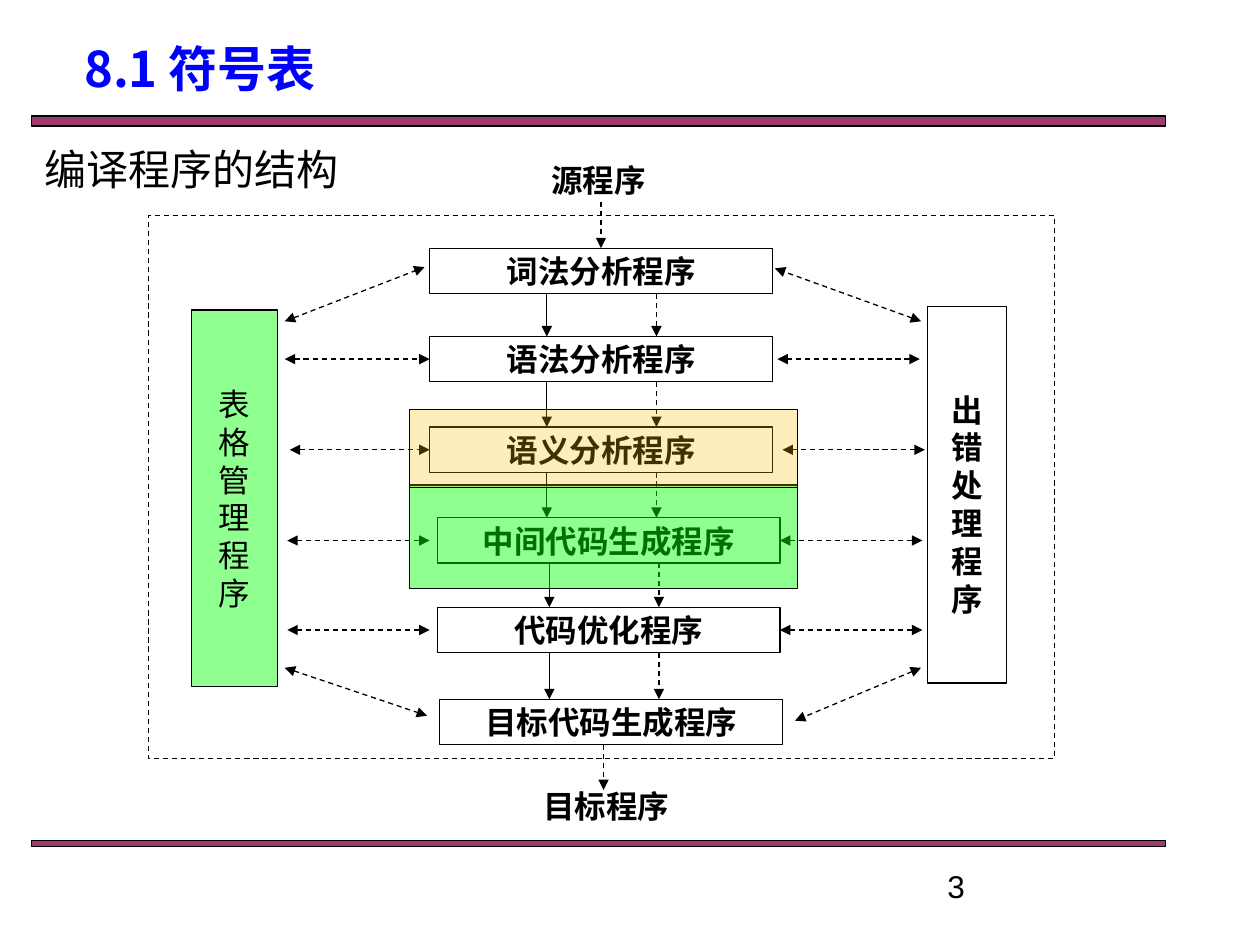
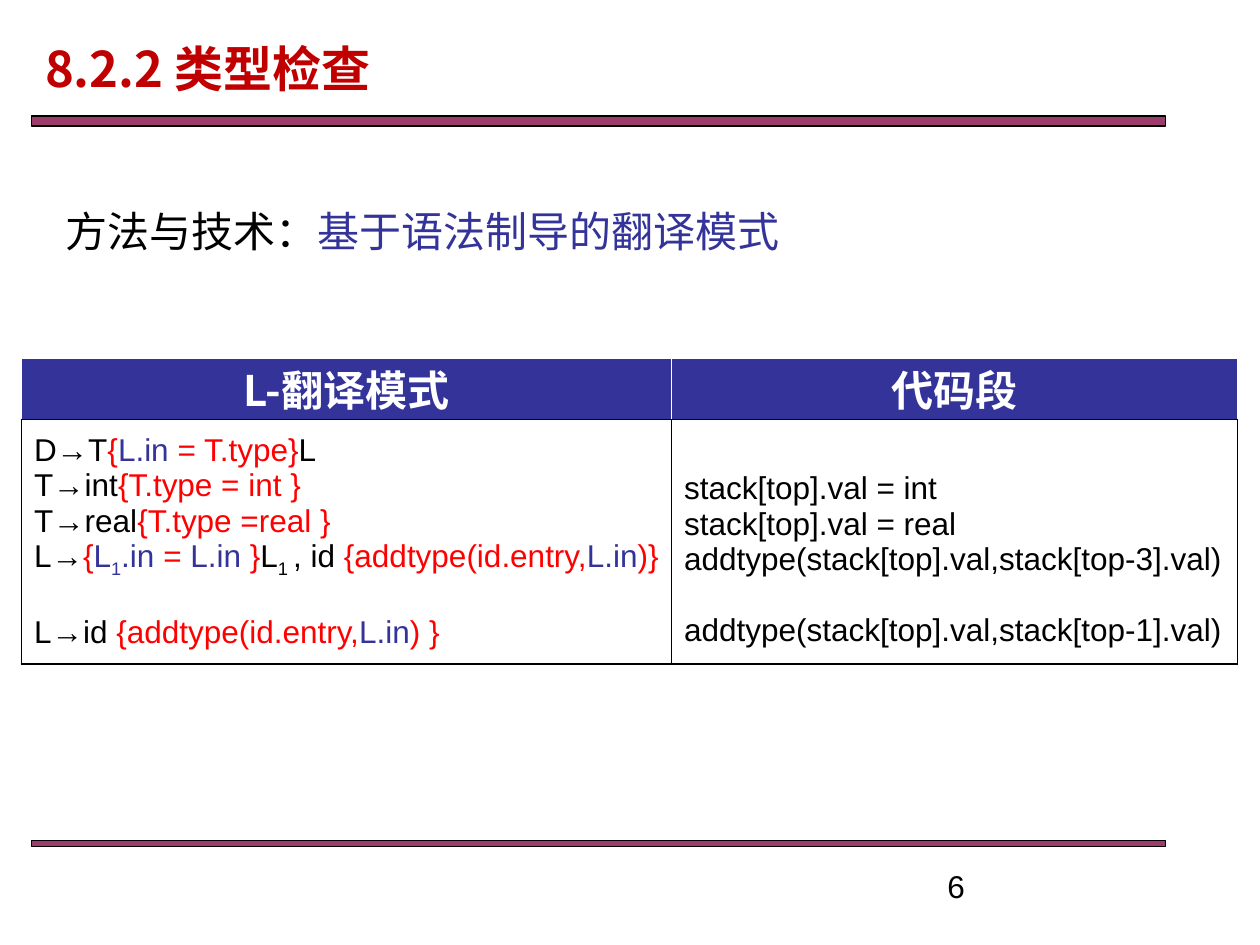
from lxml.etree import SubElement
from pptx import Presentation
from pptx.dml.color import RGBColor
from pptx.enum.dml import MSO_LINE
from pptx.enum.shapes import MSO_CONNECTOR, MSO_SHAPE
from pptx.enum.text import MSO_ANCHOR, PP_ALIGN
from pptx.oxml.ns import qn
from pptx.util import Inches, Pt

BLACK, WHITE, RED = "000000", "FFFFFF", "FF0000"
INDIGO, PLUM, GREEN, AMBER = "333399", "993366", "00FF00", "FFC000"
CJK, SANS, SERIF = "Noto Sans CJK SC", "Arial", "Times New Roman"
TOP, LEFT, BOTTOM, RIGHT = range(4)


def rgb(color):
    return RGBColor.from_string(color)


def inches(*values):
    return [Inches(v) for v in values]


def write(tf, paragraphs, size=18, font=SANS, color=BLACK, bold=False, align=PP_ALIGN.LEFT,
          anchor=MSO_ANCHOR.MIDDLE, wrap=True, leading=None, before=None):
    """Fill a frame: each paragraph is a string or a list of (text, color, baseline) runs.

    before maps a paragraph's index to its space before, in points.
    """
    tf.word_wrap = wrap
    tf.vertical_anchor = anchor
    for i, runs in enumerate(paragraphs):
        p = tf.paragraphs[0] if i == 0 else tf.add_paragraph()
        p.alignment = align
        if leading:
            p.line_spacing = Pt(leading)
        if before and i in before:
            p.space_before = Pt(before[i])
        for text, run_color, baseline in [(runs, color, 0)] if isinstance(runs, str) else runs:
            r = p.add_run()
            r.text = text
            r.font.size, r.font.name, r.font.bold = Pt(size), font, bold
            r.font.color.rgb = rgb(run_color)
            if baseline:
                r.font._element.set("baseline", str(baseline * 1000))
            if any("一" <= ch <= "龥" for ch in text):
                r.font._element.find(qn("a:latin")).addnext(
                    r.font._element.makeelement(qn("a:ea"), {"typeface": CJK}))


def add_text(s, box, paragraphs, **fmt):
    sp = s.shapes.add_textbox(*inches(*box))
    write(sp.text_frame, paragraphs, **fmt)
    return sp


def add_rect(s, box, fill=None, alpha=100, dashed=False):
    sp = s.shapes.add_shape(MSO_SHAPE.RECTANGLE, *inches(*box))
    sp.shadow.inherit = False
    sp.line.color.rgb = rgb(BLACK)
    sp.line.width = Pt(0.75)
    if dashed:
        sp.line.dash_style = MSO_LINE.DASH
    if fill is None:
        sp.fill.background()
        return sp
    sp.fill.solid()
    sp.fill.fore_color.rgb = rgb(fill)
    if alpha < 100:
        clr = sp._element.spPr.find(qn("a:solidFill"))[0]
        SubElement(clr, qn("a:alpha"), val=str(alpha * 1000))
    return sp


def add_arrow(s, start, end, dashed=True, both=False):
    c = s.shapes.add_connector(MSO_CONNECTOR.STRAIGHT, *inches(*start, *end))
    c.line.color.rgb = rgb(BLACK)
    c.line.width = Pt(0.75)
    if dashed:
        c.line.dash_style = MSO_LINE.DASH
    ln = c.line._get_or_add_ln()
    if both:
        SubElement(ln, qn("a:headEnd"), type="triangle")
    SubElement(ln, qn("a:tailEnd"), type="triangle")
    SubElement(c._element.spPr, qn("a:effectLst"))
    return c


def add_frame(prs, title, color, title_left, number):
    """Add a slide with its title, bands and page number."""
    s = prs.slides.add_slide(prs.slide_layouts[6])
    for top, height in ((0.92, 0.08), (6.67, 0.05)):
        add_rect(s, (0.25, top, 9, height), PLUM, alpha=96)
    add_text(s, (title_left, 0.25, 8, 0.58), [title], size=28, font=CJK, color=color, bold=True)
    add_text(s, (7.42, 6.83, 2.33, 0.27), [number], anchor=MSO_ANCHOR.TOP)
    return s


STAGE_W, STAGE_H = 2.72, 0.36
STAGES = [("词法分析程序", 2.23, 0.26), ("语法分析程序", 2.23, 0.96),
          ("语义分析程序", 2.23, 1.68), ("中间代码生成程序", 2.29, 2.4),
          ("代码优化程序", 2.29, 3.11), ("目标代码生成程序", 2.31, 3.84)]


def add_managers(s, x, y):
    """Add the table manager and the error handler beside the stages."""
    fmt = dict(align=PP_ALIGN.CENTER, leading=21.6)
    tables = add_rect(s, (x + 0.34, y + 0.75, 0.68, 2.99), GREEN, alpha=44)
    write(tables.text_frame, list("表格管理程序"), wrap=False, **fmt)
    errors = add_rect(s, (x + 6.18, y + 0.72, 0.63, 2.99), WHITE)
    write(errors.text_frame, ["出错处理程序"], font=SERIF, bold=True, **fmt)
    errors.text_frame.margin_top = Inches(0.2)


def add_side_arrows(s, x, y, stages):
    """Link each stage with both managers, joining the arrows that touch a stage."""
    for start, end in (((1.08, 0.84), (2.19, 0.41)), ((1.08, 3.59), (2.21, 3.97)),
                       ((6.13, 0.84), (4.97, 0.42)), ((6.13, 3.59), (5.13, 4.01))):
        add_arrow(s, (x + start[0], y + start[1]), (x + end[0], y + end[1]), both=True)
    length = 1.13
    for i, left, right in ((1, 1.08, 4.99), (2, 1.12, 5.03), (3, 1.1, 5.01), (4, 1.1, 5.01)):
        edge = STAGES[i][1]
        mid = y + STAGES[i][2] + STAGE_H / 2
        c = add_arrow(s, (x + left, mid), (x + left + length, mid), both=True)
        if abs(left + length - edge) < 0.03:
            c.end_connect(stages[i], LEFT)
        c = add_arrow(s, (x + right, mid), (x + right + length, mid), both=True)
        if abs(right - edge - STAGE_W) < 0.03:
            c.begin_connect(stages[i], RIGHT)


def add_compiler(s, x, y, w, h):
    """Draw the compiler's structure inside a dashed box."""
    label = dict(font=SERIF, bold=True, align=PP_ALIGN.CENTER)
    add_text(s, (x + 2.21, y - 0.46, STAGE_W, STAGE_H), ["源程序"], **label)
    add_text(s, (x + 2.27, y + 4.51, STAGE_W, STAGE_H), ["目标程序"], **label)
    stages = []
    for name, left, top in STAGES:
        sp = add_rect(s, (x + left, y + top, STAGE_W, STAGE_H), WHITE)
        write(sp.text_frame, [name], **label)
        stages.append(sp)
    add_managers(s, x, y)

    entry_x = x + STAGES[0][1] + STAGE_W / 2
    entry = add_arrow(s, (entry_x, y - 0.11), (entry_x, y + 0.26))
    entry.end_connect(stages[0], TOP)
    add_arrow(s, (x + 3.61, y + 4.2), (x + 3.61, y + 4.56))
    for i, (upper, lower) in enumerate(zip(STAGES, STAGES[1:])):
        flow_x = x + (3.16 if i < 3 else 3.18)
        for dx, dashed in ((0, False), (0.87, True)):
            add_arrow(s, (flow_x + dx, y + upper[2] + STAGE_H),
                      (flow_x + dx, y + lower[2]), dashed=dashed)
    add_side_arrows(s, x, y, stages)
    add_rect(s, (x, y, w, h), dashed=True)
    add_rect(s, (x + 2.07, y + 2.14, 3.08, 0.82), GREEN, alpha=44)
    add_rect(s, (x + 2.07, y + 1.54, 3.08, 0.62), AMBER, alpha=26)


def symbol_table_slide(prs):
    s = add_frame(prs, "8.1 符号表", "0000FF", 0.57, "3")
    add_compiler(s, 1.18, 1.71, 7.19, 4.31)
    add_text(s, (0.24, 1.09, 2.56, 0.5), ["编译程序的结构"], size=24,
             align=PP_ALIGN.CENTER, wrap=False)


def set_borders(cell, left, right, top, bottom):
    tcPr = cell._tc.get_or_add_tcPr()
    for side, color in zip("LRTB", (left, right, top, bottom)):
        ln = SubElement(tcPr, qn(f"a:ln{side}"), w=str(Pt(1)))
        SubElement(SubElement(ln, qn("a:solidFill")), qn("a:srgbClr"), val=color)


def runs(*parts):
    """Make runs from text marked k (black), r (red) or b (indigo), with _ for a subscript."""
    colors = {"k": BLACK, "r": RED, "b": INDIGO}
    return [(text, colors[mark[0]], -25 if mark.endswith("_") else 0) for mark, text in parts]


RULES = [
    runs(("k", "D→T"), ("r", "{"), ("b", "L.in "), ("r", "= T.type}"), ("k", "L")),
    runs(("k", "T→int"), ("r", "{T.type = int }")),
    runs(("k", "T→real"), ("r", "{T.type =real }")),
    runs(("k", "L→"), ("r", "{"), ("b", "L"), ("b_", "1"), ("b", ".in "), ("r", "= "),
         ("b", "L.in "), ("r", "}"), ("k", "L"), ("k_", "1 "), ("k", ", id "),
         ("r", "{addtype(id.entry,"), ("b", "L.in"), ("r", ")}")),
    runs(("k", "L→id "), ("r", "{addtype(id.entry,"), ("b", "L.in"), ("r", ") }")),
]
CODE = ["stack[top].val = int", "stack[top].val = real",
        "addtype(stack[top].val,stack[top-3].val)",
        "addtype(stack[top].val,stack[top-1].val)"]


def add_translation_table(s, x, y, widths, heights):
    frame = s.shapes.add_table(2, 2, *inches(x, y, sum(widths), sum(heights)))
    table = frame.table
    for i in range(2):
        table.columns[i].width = Inches(widths[i])
        table.rows[i].height = Inches(heights[i])
    for i, name in enumerate(("L-翻译模式", "代码段")):
        cell = table.cell(0, i)
        set_borders(cell, WHITE, WHITE, WHITE, BLACK)
        cell.fill.solid()
        cell.fill.fore_color.rgb = rgb(INDIGO)
        cell.margin_top = cell.margin_bottom = 0
        cell.vertical_anchor = MSO_ANCHOR.MIDDLE
        write(cell.text_frame, [name], size=24, font=CJK, color=WHITE, bold=True,
              align=PP_ALIGN.CENTER)
    line = 20.7
    for i, (lines, gap_at) in enumerate(((RULES, 4), (CODE, 3))):
        cell = table.cell(1, i)
        set_borders(cell, BLACK, BLACK, BLACK, BLACK)
        cell.fill.background()
        cell.vertical_anchor = MSO_ANCHOR.MIDDLE
        write(cell.text_frame, lines, before={gap_at: line})
    # The code starts one line lower, beside the second rule
    table.cell(1, 1).margin_top = Inches(0.05) + Pt(line)


def type_check_slide(prs):
    s = add_frame(prs, "8.2.2 类型检查", "C00000", 0.26, "6")
    add_translation_table(s, 0.17, 2.84, (5.16, 4.49), (0.49, 1.94))
    method = [("方法与技术：", BLACK, 0), ("基于语法制导的翻译模式", INDIGO, 0)]
    add_text(s, (0.42, 1.58, 5.92, 0.5), [method], size=24, wrap=False)


def main():
    prs = Presentation()
    prs.slide_width, prs.slide_height = inches(10, 7.5)
    symbol_table_slide(prs)
    type_check_slide(prs)
    prs.save("out.pptx")


if __name__ == "__main__":
    main()
